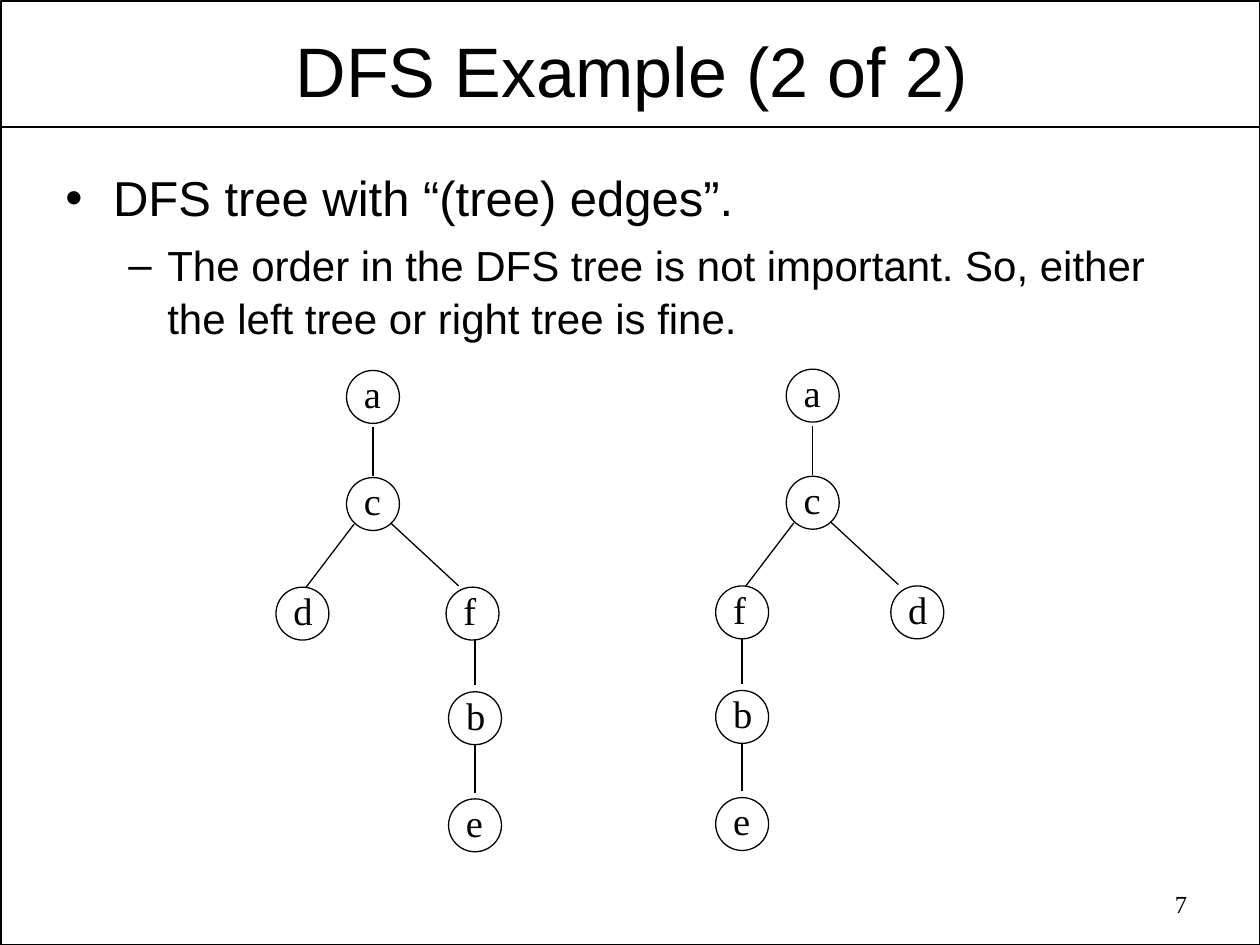
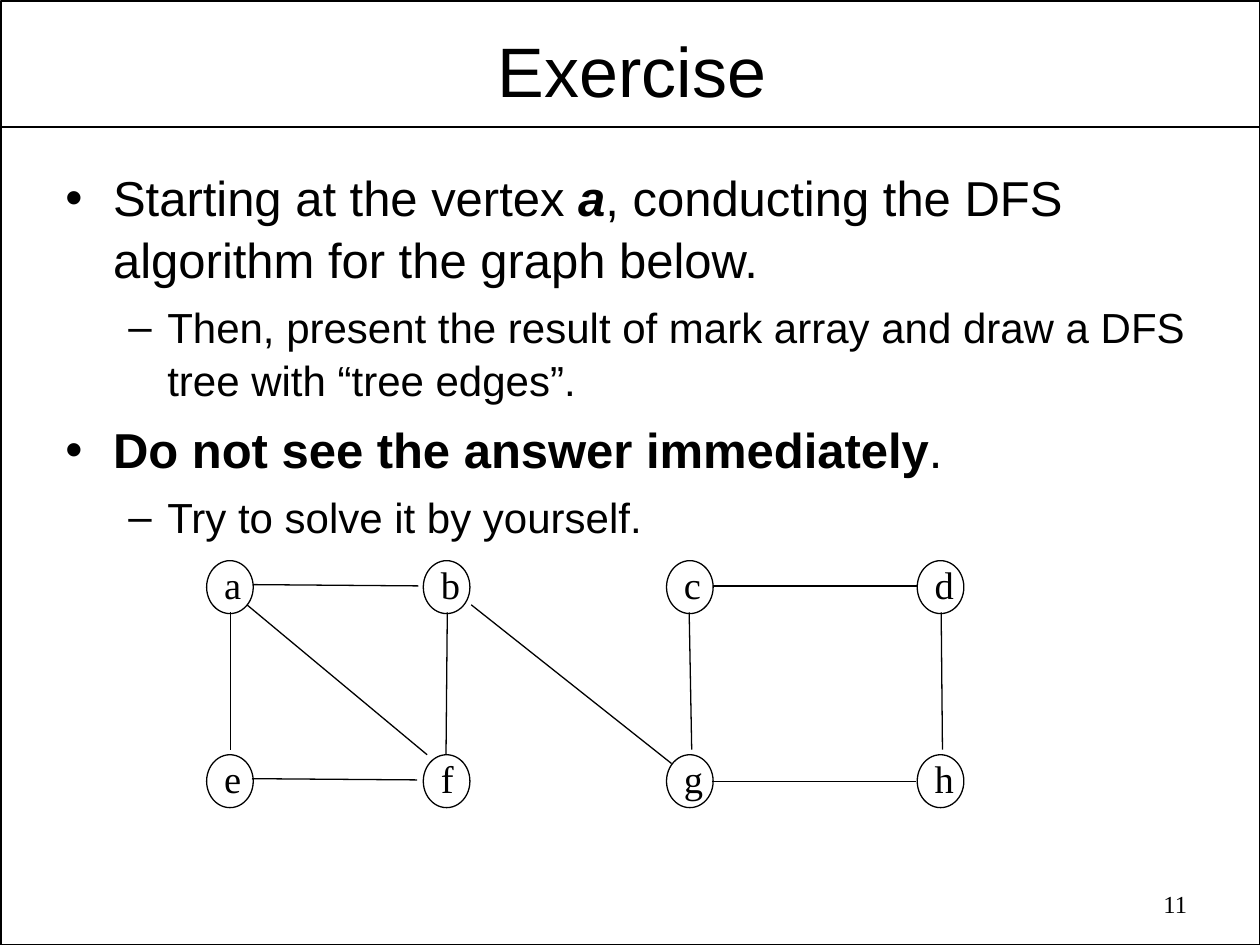
from lxml import etree
from pptx import Presentation
from pptx.dml.color import RGBColor
from pptx.enum.shapes import MSO_CONNECTOR, MSO_SHAPE
from pptx.enum.text import MSO_AUTO_SIZE, PP_ALIGN
from pptx.oxml.ns import qn
from pptx.util import Inches, Pt

LINE = MSO_CONNECTOR.STRAIGHT
RECTANGLE, ELLIPSE = MSO_SHAPE.RECTANGLE, MSO_SHAPE.OVAL
LEFT, CENTER, RIGHT = PP_ALIGN.LEFT, PP_ALIGN.CENTER, PP_ALIGN.RIGHT

COLORS = {"ink": "000000"}
SANS, SERIF = "Arial", "Times New Roman"
LEVELS = [
    {"size": 28, "bullet": "•", "before": 7, "margin": 0.38, "hang": 0.38},
    {"size": 24, "bullet": "–", "before": 6, "margin": 0.81, "hang": 0.31},
]
LABEL_WIDTHS = {"a": 0.33, "c": 0.33, "e": 0.33, "f": 0.3}
LABEL_WIDTH, LABEL_HEIGHT = 0.35, 0.47
LABEL_SHIFT = (0.04, -0.05)
NODE_HEIGHT = 0.42

TREE_ROWS = [0, 0.85, 1.72, 2.55, 3.4]
TREE_FORK = [
    ((0.21, 0.45), (0.21, 0.84)),
    ((0.06, 1.22), (-0.32, 1.72)),
    ((0.35, 1.21), (0.89, 1.71)),
]
TREE_STEM = [(2.13, 2.5), (2.97, 3.35)]
TREES = [
    {"root": (2.75, 2.94), "children": [("d", -0.56), ("f", 0.79)], "stem": 0.81},
    {"root": (6.24, 2.93), "children": [("f", -0.56), ("d", 0.83)], "stem": -0.56},
]

GRAPH_COLUMNS = [1.64, 3.36, 5.29, 7.28]
GRAPH_ROWS = [(4.45, "abcd"), (5.99, "efgh")]
GRAPH_EDGES = [
    ((2.01, 4.64), (3.32, 4.65)),
    ((2, 6.18), (3.31, 6.19)),
    ((1.83, 5.95), (1.83, 4.86)),
    ((1.96, 4.8), (3.39, 5.99)),
    ((3.54, 5.99), (3.55, 4.86)),
    ((3.74, 4.8), (5.33, 6.06)),
    ((5.66, 4.65), (7.28, 4.65)),
    ((7.48, 5.95), (7.47, 4.86)),
    ((5.65, 6.2), (7.27, 6.2)),
    ((5.47, 4.86), (5.49, 5.95)),
]


def tree_diagram(tree):
    left, top = tree["root"]
    (near, near_x), (far, far_x) = tree["children"]
    stem = tree["stem"]
    places = [("a", 0, 0), ("c", 0, 1), (near, near_x, 2), (far, far_x, 2),
              ("b", stem, 3), ("e", stem, 4)]
    nodes = [(name, left + x, top + TREE_ROWS[row]) for name, x, row in places]
    stem_x = stem + NODE_HEIGHT / 2
    local = TREE_FORK + [((stem_x, y1), (stem_x, y2)) for y1, y2 in TREE_STEM]
    edges = [[(left + x, top + y) for x, y in edge] for edge in local]
    return {"node_width": NODE_HEIGHT, "nodes": nodes, "edges": edges}


def graph_diagram():
    nodes = [(name, x, y) for y, names in GRAPH_ROWS
             for name, x in zip(names, GRAPH_COLUMNS)]
    return {"node_width": 0.37, "nodes": nodes, "edges": GRAPH_EDGES}


SLIDES = [
    {
        "title": "DFS Example (2 of 2)",
        "number": "7",
        "body_height": 1.64,
        "body": [
            (0, [("DFS tree with “(tree) edges”.", "")]),
            (1, [("The order in the DFS tree is not important. So, either "
                  "the left tree or right tree is fine.", "")]),
        ],
        "diagrams": [tree_diagram(tree) for tree in TREES],
    },
    {
        "title": "Exercise",
        "number": "11",
        "body_height": 3.14,
        "body": [
            (0, [("Starting at the vertex ", ""), ("a", "bi"),
                 (", conducting the DFS algorithm for the graph below.", "")]),
            (1, [("Then, present the result of mark array and draw a DFS "
                  "tree with “tree edges”.", "")]),
            (0, [("Do not see the answer immediately", "b"), (".", "")]),
            (1, [("Try to solve it by yourself.", "")]),
        ],
        "diagrams": [graph_diagram()],
    },
]


def ink():
    return RGBColor.from_string(COLORS["ink"])


def add_run(paragraph, text, size, font, style=""):
    run = paragraph.add_run()
    run.text = text
    run.font.size = Pt(size)
    run.font.name = font
    run.font.color.rgb = ink()
    run.font.bold = "b" in style
    run.font.italic = "i" in style


def add_outline(shapes, kind, box, weight):
    outline = shapes.add_shape(kind, *map(Inches, box))
    outline.shadow.inherit = False
    outline.fill.background()
    outline.line.color.rgb = ink()
    outline.line.width = Pt(weight)


def add_line(shapes, start, end, weight):
    line = shapes.add_connector(LINE, *map(Inches, (*start, *end)))
    line.line.color.rgb = ink()
    line.line.width = Pt(weight)
    etree.SubElement(line._element.spPr, qn("a:effectLst"))


def add_frame(shapes, box, insets=(0.1, 0.05), wrap=True):
    frame = shapes.add_textbox(*map(Inches, box)).text_frame
    frame.margin_left = frame.margin_right = Inches(insets[0])
    frame.margin_top = frame.margin_bottom = Inches(insets[1])
    frame.word_wrap = wrap
    return frame


def add_text(shapes, box, text, size, font, align, **options):
    frame = add_frame(shapes, box, **options)
    frame.paragraphs[0].alignment = align
    add_run(frame.paragraphs[0], text, size, font)
    return frame


def add_body(shapes, height, items):
    frame = add_frame(shapes, (0.42, 1.26, 9.17, height))
    for index, (depth, runs) in enumerate(items):
        level = LEVELS[depth]
        paragraph = frame.add_paragraph() if index else frame.paragraphs[0]
        paragraph.level = depth
        paragraph.line_spacing = 1.05
        paragraph.space_before = Pt(level["before"] if index else 0)
        properties = paragraph._p.get_or_add_pPr()
        properties.set("marL", str(Inches(level["margin"])))
        properties.set("indent", str(-Inches(level["hang"])))
        etree.SubElement(properties, qn("a:buFont"), typeface=SANS)
        etree.SubElement(properties, qn("a:buChar"), char=level["bullet"])
        for text, style in runs:
            add_run(paragraph, text, level["size"], SANS, style)


def add_diagram(shapes, diagram):
    group = shapes.add_group_shape().shapes
    for name, x, y in diagram["nodes"]:
        add_outline(group, ELLIPSE, (x, y, diagram["node_width"], NODE_HEIGHT), 0.75)
        width = LABEL_WIDTHS.get(name, LABEL_WIDTH)
        box = (x + LABEL_SHIFT[0], y + LABEL_SHIFT[1], width, LABEL_HEIGHT)
        label = add_text(group, box, name, 22, SERIF, LEFT, wrap=False)
        label.auto_size = MSO_AUTO_SIZE.SHAPE_TO_FIT_TEXT
    for start, end in diagram["edges"]:
        add_line(group, start, end, 0.75)


def add_slide(deck, content):
    shapes = deck.slides.add_slide(deck.slide_layouts[6]).shapes
    add_outline(shapes, RECTANGLE, (0.01, 0.01, 9.99, 7.49), 1)
    add_line(shapes, (0.01, 1.01), (9.99, 1.01), 1)
    add_text(shapes, (0.53, 0.19, 8.97, 0.72), content["title"], 40, SANS, CENTER,
             insets=(0.07, 0.03))
    add_body(shapes, content["body_height"], content["body"])
    add_text(shapes, (7.18, 7.01, 2.34, 0.36), content["number"], 14, SERIF, RIGHT)
    for diagram in content["diagrams"]:
        add_diagram(shapes, diagram)


def main():
    deck = Presentation()
    deck.slide_width, deck.slide_height = Inches(10), Inches(7.5)
    for content in SLIDES:
        add_slide(deck, content)
    deck.save("out.pptx")


if __name__ == "__main__":
    main()
